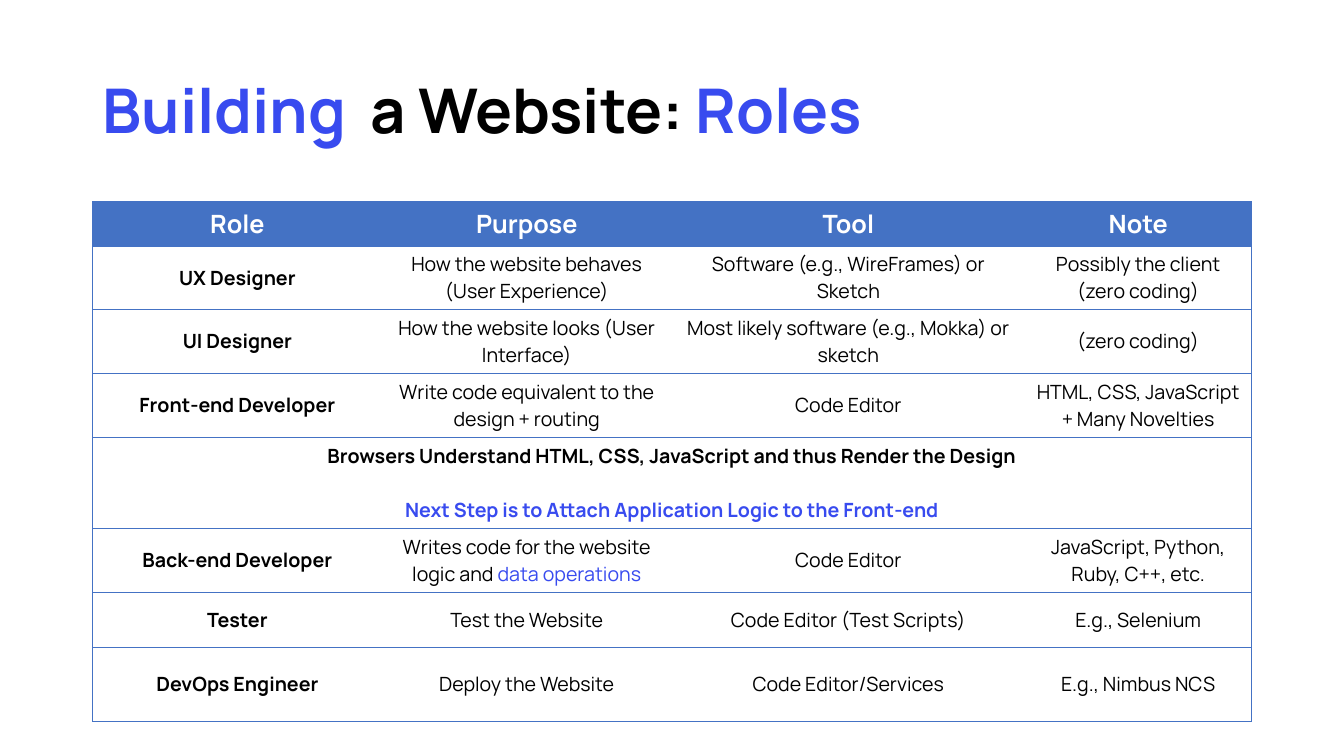
import pptx
import pptx.dml.color
import pptx.enum.text
import pptx.oxml
import pptx.oxml.ns
import pptx.util

Inches = pptx.util.Inches
Pt = pptx.util.Pt
ALIGN = pptx.enum.text.PP_ALIGN
ANCHOR = pptx.enum.text.MSO_ANCHOR

COLORS = {"accent": "384BEF", "table": "4472C4", "text": "000000", "white": "FFFFFF"}

TITLE = [
    ("Building", {"color": "accent"}),
    (" ", {"color": "accent", "spacing": 8.5}),
    ("a Website: ", {}),
    ("Roles", {"color": "accent"}),
]

COLUMN_WIDTHS = [2.87, 2.87, 3.51, 2.24]
ROW_HEIGHTS = [0.44, 0.63, 0.63, 0.64, 0.9, 0.64, 0.54, 0.74]
BROWSER_ROW = 4
ROLES = [
    ["Role", "Purpose", "Tool", "Note"],
    ["UX Designer", "How the website behaves (User Experience)",
     "Software (e.g., WireFrames) or Sketch", "Possibly the client (zero coding)"],
    ["UI Designer", "How the website looks (User Interface)",
     "Most likely software (e.g., Mokka) or sketch", "(zero coding)"],
    ["Front-end Developer", "Write code equivalent to the design + routing",
     "Code Editor", "HTML, CSS, JavaScript + Many Novelties"],
    ["Browsers Understand HTML, CSS, JavaScript and thus Render the Design", "", "", ""],
    ["Back-end Developer", "Writes code for the website logic and ",
     "Code Editor", "JavaScript, Python, Ruby, C++, etc."],
    ["Tester", "Test the Website", "Code Editor (Test Scripts)", "E.g., Selenium"],
    ["DevOps Engineer", "Deploy the Website", "Code Editor/Services", "E.g., Nimbus NCS"],
]


def add_text(p, text, size=14, color="text", bold=False, font="Manrope", spacing=None):
    r = p.add_run()
    r.text = text
    r.font.name = font
    r.font.size = Pt(size)
    r.font.bold = bold
    r.font.color.rgb = pptx.dml.color.RGBColor.from_string(COLORS[color])
    if spacing is not None:
        r.font._element.set("spc", str(int(spacing * 100)))


class Deck:
    def __init__(self, slide):
        self.slide = slide
        self.border_width = Pt(0.5)

    def title(self, runs, left, top, width, height):
        sp = self.slide.shapes.add_textbox(Inches(left), Inches(top), Inches(width), Inches(height))
        tf = sp.text_frame
        tf.word_wrap = True
        tf.vertical_anchor = ANCHOR.MIDDLE
        p = tf.paragraphs[0]
        p.line_spacing = 0.9
        for text, style in runs:
            add_text(p, text, size=44, bold=True, **style)

    def borders(self, cell, visible):
        tc_pr = cell._tc.get_or_add_tcPr()
        for i, side in enumerate("LRTB"):
            if side in visible:
                fill = f'<a:solidFill><a:srgbClr val="{COLORS["table"]}"/></a:solidFill>'
            else:
                fill = "<a:noFill/>"
            tc_pr.insert(i, pptx.oxml.parse_xml(
                f'<a:ln{side} {pptx.oxml.ns.nsdecls("a")} w="{self.border_width}">{fill}</a:ln{side}>'))

    def cell(self, cell, text, header, bold):
        cell.vertical_anchor = ANCHOR.TOP if header else ANCHOR.MIDDLE
        if header:
            cell.fill.solid()
            cell.fill.fore_color.rgb = pptx.dml.color.RGBColor.from_string(COLORS["table"])
        else:
            cell.fill.background()
        p = cell.text_frame.paragraphs[0]
        p.alignment = ALIGN.CENTER
        if text:
            add_text(p, text, size=18 if header else 14,
                     color="white" if header else "text", bold=bold)

    def table(self, rows, left, top):
        frame = self.slide.shapes.add_table(
            len(rows), len(COLUMN_WIDTHS), Inches(left), Inches(top),
            Inches(sum(COLUMN_WIDTHS)), Inches(sum(ROW_HEIGHTS)))
        table = frame.table
        for column, column_width in zip(table.columns, COLUMN_WIDTHS):
            column.width = Inches(column_width)
        for row, row_height in zip(table.rows, ROW_HEIGHTS):
            row.height = Inches(row_height)
        last = len(COLUMN_WIDTHS) - 1
        for i, row in enumerate(rows):
            for j, text in enumerate(row):
                cell = table.cell(i, j)
                right_edge = j == last or i == BROWSER_ROW and j == 0
                self.cell(cell, text, header=i == 0, bold=i == 0 or j == 0)
                self.borders(cell, "TB" + "L" * (j == 0) + "R" * right_edge)
        table.cell(BROWSER_ROW, 0).merge(table.cell(BROWSER_ROW, last))
        return table


def main():
    prs = pptx.Presentation()
    prs.slide_width = Inches(13.33)
    prs.slide_height = Inches(7.5)
    s = prs.slides.add_slide(prs.slide_layouts[6])
    deck = Deck(s)
    deck.title(TITLE, 0.92, 0.4, 11.5, 1.45)
    table = deck.table(ROLES, 0.92, 2)

    p = table.cell(BROWSER_ROW, 0).text_frame.add_paragraph()
    p.alignment = ALIGN.CENTER
    p.space_before = Pt(19)
    add_text(p, "Next Step is to Attach Application Logic to the Front-end", color="accent", bold=True)

    backend_purpose = table.cell(BROWSER_ROW + 1, 1).text_frame.paragraphs[0]
    add_text(backend_purpose, "data operations", color="accent")
    prs.save("out.pptx")


if __name__ == "__main__":
    main()
